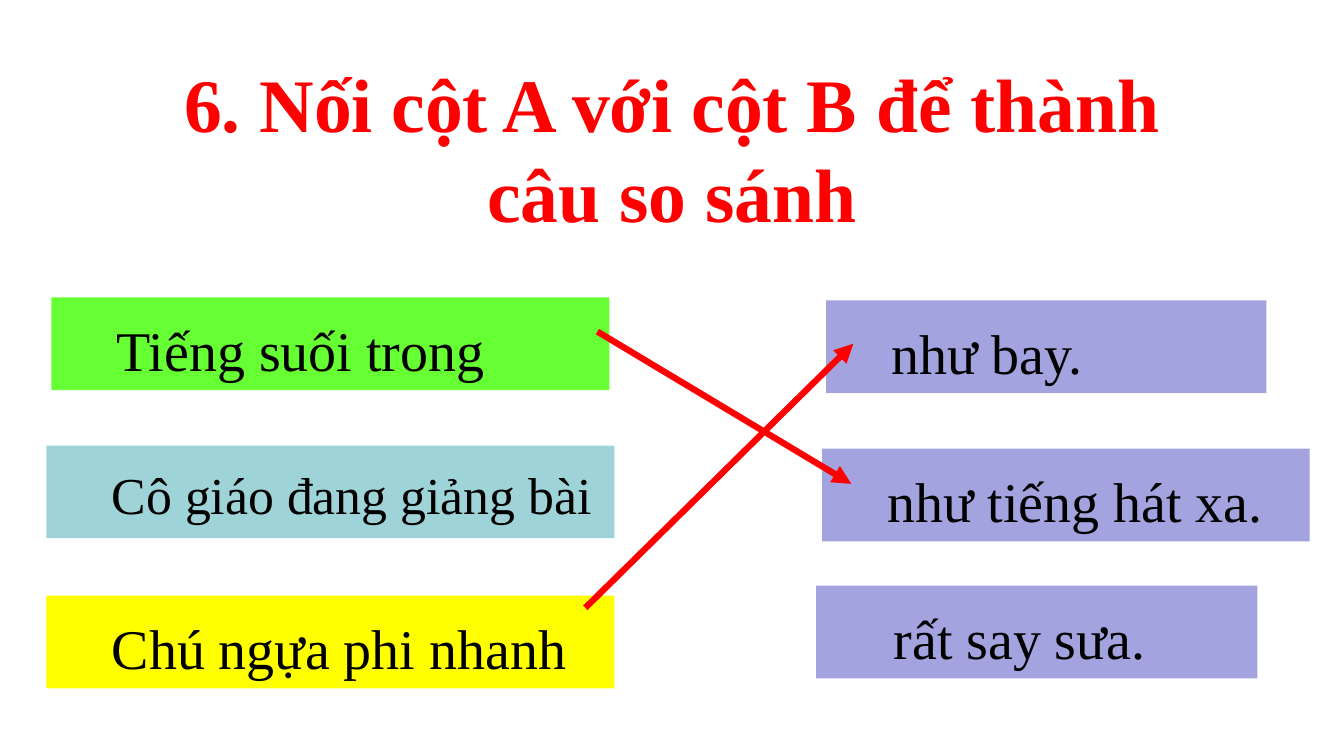
import pptx
import pptx.util
import pptx.dml.color
import pptx.enum.shapes
import pptx.enum.text
import pptx.oxml

Inches, Pt = pptx.util.Inches, pptx.util.Pt
RGBColor = pptx.dml.color.RGBColor
ANCHOR = pptx.enum.text.MSO_ANCHOR

FONT = "Times New Roman"
RED = RGBColor(0xFF, 0x00, 0x00)
BLACK = RGBColor(0x00, 0x00, 0x00)
GREEN = RGBColor(0x66, 0xFF, 0x33)
TEAL = RGBColor(0x9E, 0xD3, 0xD7)
YELLOW = RGBColor(0xFF, 0xFF, 0x00)
LILAC = RGBColor(0xA3, 0xA3, 0xE0)

CARD_HIGH = 0.92
# Text, size, fill, left, top, width
COL_A = [
    ("Tiếng suối trong", 40, GREEN, 0.51, 2.95, 5.54),
    ("Cô giáo đang giảng bài", 37, TEAL, 0.46, 4.42, 5.64),
    ("Chú ngựa phi nhanh", 40, YELLOW, 0.46, 5.91, 5.64),
]
COL_B = [
    ("như bay.", 40, LILAC, 8.2, 2.98, 4.37),
    ("như tiếng hát xa.", 40, LILAC, 8.16, 4.45, 4.84),
    ("rất say sưa.", 40, LILAC, 8.1, 5.81, 4.38),
]
# Start and end points of the matches
LINKS = [(5.93, 3.29, 8.45, 4.8), (5.81, 6.03, 8.47, 3.41)]


def set_font(para, size, color, bold=False):
    para.font.name = FONT
    para.font.size = Pt(size)
    para.font.color.rgb = color
    para.font.bold = bold


def add_title(slide, left, top, width, height):
    title = slide.shapes.title
    title.left, title.top = Inches(left), Inches(top)
    title.width, title.height = Inches(width), Inches(height)
    frame = title.text_frame
    frame.text = "6. Nối cột A với cột B để thành câu so sánh"
    frame.word_wrap = True
    frame.vertical_anchor = ANCHOR.MIDDLE
    para = frame.paragraphs[0]
    para.alignment = pptx.enum.text.PP_ALIGN.CENTER
    set_font(para, 54, RED, True)


def add_card(slide, text, size, fill, left, top, width, indent=0.55):
    card = slide.shapes.add_shape(
        pptx.enum.shapes.MSO_SHAPE.RECTANGLE,
        Inches(left), Inches(top), Inches(width), Inches(CARD_HIGH))
    card.shadow.inherit = False
    card.fill.solid()
    card.fill.fore_color.rgb = fill
    card.line.fill.background()
    frame = card.text_frame
    frame.word_wrap = True
    frame.vertical_anchor = ANCHOR.TOP
    frame.margin_top = Inches(0.13)
    frame.margin_left = Inches(0.1 + indent)
    frame.text = text
    para = frame.paragraphs[0]
    para.alignment = pptx.enum.text.PP_ALIGN.LEFT
    para.line_spacing = 1.07
    set_font(para, size, BLACK)


def add_link(slide, *ends):
    link = slide.shapes.add_connector(
        pptx.enum.shapes.MSO_CONNECTOR.STRAIGHT, *map(Inches, ends))
    link.line.color.rgb = RED
    link.line.width = Pt(4.5)
    # Arrowhead, and no shadow
    space = pptx.oxml.ns.nsdecls("a")
    link.line._get_or_add_ln().append(
        pptx.oxml.parse_xml(f'<a:tailEnd {space} type="triangle"/>'))
    link._element.spPr.append(
        pptx.oxml.parse_xml(f"<a:effectLst {space}/>"))


def main():
    deck = pptx.Presentation()
    deck.slide_width, deck.slide_height = Inches(13.34), Inches(7.5)
    slide = deck.slides.add_slide(deck.slide_layouts[5])
    add_title(slide, 1.13, 0.51, 11.08, 1.9)
    for card in COL_A:
        add_card(slide, *card)
    for card in COL_B[:2]:
        add_card(slide, *card)
    # The last answer sits a little further in
    add_card(slide, *COL_B[2], indent=0.67)
    for ends in LINKS:
        add_link(slide, *ends)
    deck.save("out.pptx")


if __name__ == "__main__":
    main()
